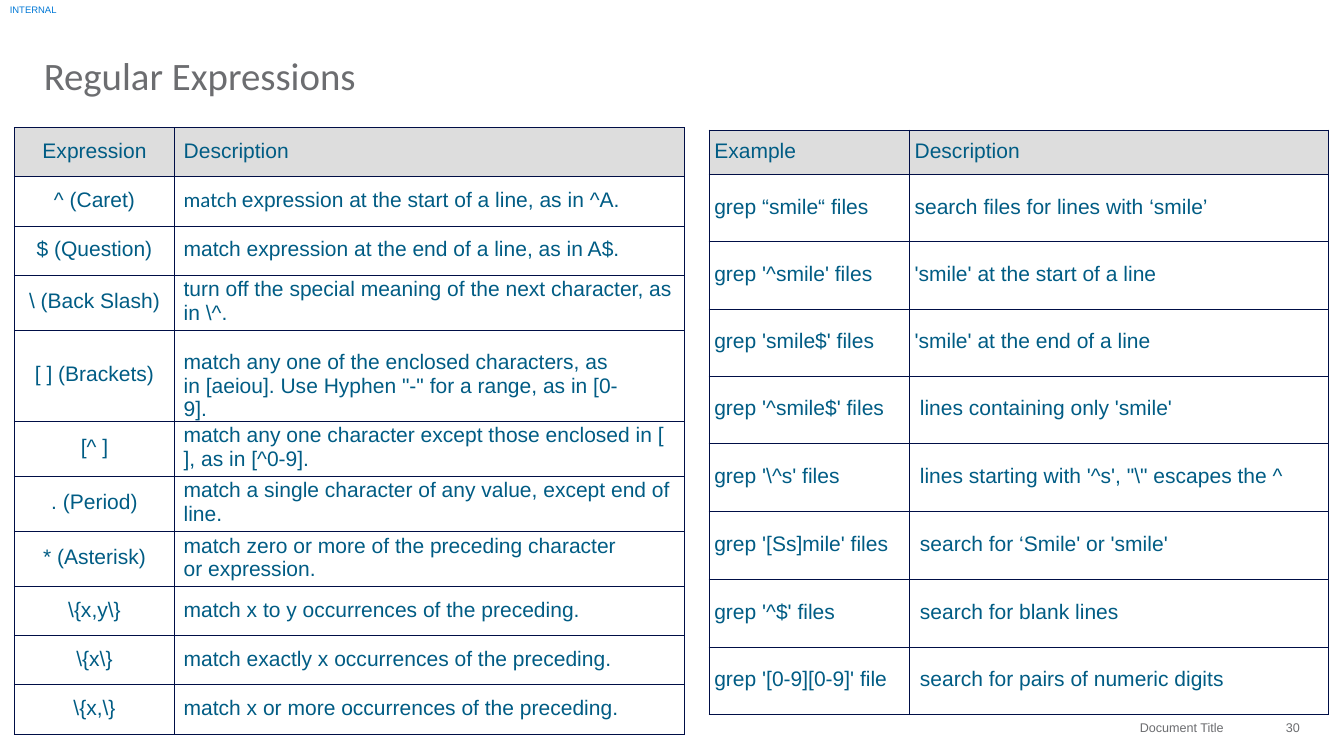
from lxml import etree
from pptx import Presentation
from pptx.dml.color import RGBColor
from pptx.enum.text import MSO_ANCHOR, PP_ALIGN
from pptx.oxml.ns import qn
from pptx.util import Inches, Pt

BLUE = RGBColor(0x00, 0x78, 0xD6)
TEAL = RGBColor(0x00, 0x5C, 0x84)
GRAY = RGBColor(0x6C, 0x6D, 0x70)
HEADER_FILL = RGBColor(0xDD, 0xDD, 0xDD)
BORDER = RGBColor(0x00, 0x0E, 0x46)

# A cell is a string, or a list of paragraphs; a paragraph is a string
# or a list of (text, font) runs.
EXPRESSIONS = [
    ("Expression", "Description"),
    ("^ (Caret)", [[("match ", "Calibri"),
                    ("expression at the start of a line, as in ^A.", "Arial")]]),
    ("$ (Question)", "match expression at the end of a line, as in A$."),
    ("\\ (Back Slash)",
     "turn off the special meaning of the next character, as in \\^."),
    ("[ ] (Brackets)",
     "match any one of the enclosed characters, as in [aeiou]. "
     "Use Hyphen \"-\" for a range, as in [0-9]."),
    ("[^ ]", ["match any one character except those enclosed in [",
              "], as in [^0-9]."]),
    (". (Period)",
     ["match a single character of any value, except end of", "line."]),
    ("* (Asterisk)",
     "match zero or more of the preceding character or expression."),
    ("\\{x,y\\}", "match x to y occurrences of the preceding."),
    ("\\{x\\}", "match exactly x occurrences of the preceding."),
    ("\\{x,\\}", "match x or more occurrences of the preceding."),
]
BRACKETS_ROW, ASTERISK_ROW = 4, 7
EXPRESSION_HEIGHTS = [0.65] * 3 + [0.73, 1.2] + [0.73] * 3 + [0.65] * 3

EXAMPLES = [
    ("Example", "Description"),
    ("grep “smile“ files", "search files for lines with ‘smile’"),
    ("grep '^smile' files", "'smile' at the start of a line"),
    ("grep 'smile$' files", "'smile' at the end of a line"),
    ("grep '^smile$' files", "lines containing only 'smile'"),
    ("grep '\\^s' files", "lines starting with '^s', \"\\\" escapes the ^"),
    ("grep '[Ss]mile' files", "search for ‘Smile' or 'smile'"),
    ("grep '^$' files", "search for blank lines"),
    ("grep '[0-9][0-9]' file", "search for pairs of numeric digits"),
]
FIRST_INDENTED_EXAMPLE = 4
EXAMPLE_HEIGHTS = [0.59] + [0.89] * 5 + [0.91] + [0.89] * 2

# text, (left, top, width, height), format
LABELS = [
    ("INTERNAL", (0.13, 0.05, 0.64, 0.18), dict(size=9, color=BLUE)),
    ("Regular Expressions", (0.58, 0.69, 16.87, 0.83),
     dict(size=37, font="Calibri", color=GRAY)),
    ("Document Title", (15.08, 9.52, 1.3, 0.21), dict(size=12, color=GRAY)),
    ("30", (17.01, 9.52, 0.28, 0.21), dict(size=12, color=GRAY)),
]


def write(frame, content, size=20, font="Arial", color=TEAL,
          align=PP_ALIGN.LEFT):
    paragraphs = [content] if isinstance(content, str) else content
    for i, runs in enumerate(paragraphs):
        paragraph = frame.add_paragraph() if i else frame.paragraphs[0]
        paragraph.alignment = align
        if isinstance(runs, str):
            runs = [(runs, font)]
        for words, face in runs:
            run = paragraph.add_run()
            run.text = words
            run.font.size = Pt(size)
            run.font.name = face
            run.font.color.rgb = color


def set_margins(box, left=0, right=0, bottom=0):
    box.margin_left, box.margin_right = Inches(left), Inches(right)
    box.margin_top, box.margin_bottom = 0, Inches(bottom)


def add_borders(cell):
    properties = cell._tc.get_or_add_tcPr()
    for side in ("a:lnL", "a:lnR", "a:lnT", "a:lnB"):
        line = etree.SubElement(properties, qn(side), w=str(Pt(1)))
        fill = etree.SubElement(line, qn("a:solidFill"))
        etree.SubElement(fill, qn("a:srgbClr"), val=str(BORDER))


def add_grid(slide, rows, left, top, widths, heights, indent,
             first_align=PP_ALIGN.LEFT):
    table = slide.shapes.add_table(
        len(rows), len(widths), Inches(left), Inches(top),
        Inches(sum(widths)), Inches(sum(heights))).table
    for column, width in zip(table.columns, widths):
        column.width = Inches(width)
    for r, (contents, height) in enumerate(zip(rows, heights)):
        table.rows[r].height = Inches(height)
        for c, content in enumerate(contents):
            cell = table.cell(r, c)
            align = PP_ALIGN.LEFT if c else first_align
            set_margins(cell, left=0 if align == PP_ALIGN.CENTER else indent,
                        bottom=0.04)
            cell.vertical_anchor = MSO_ANCHOR.MIDDLE
            add_borders(cell)
            if r == 0:
                cell.fill.solid()
                cell.fill.fore_color.rgb = HEADER_FILL
            else:
                cell.fill.background()
            write(cell.text_frame, content, align=align)
    return table


def main():
    deck = Presentation()
    deck.slide_width, deck.slide_height = Inches(17.78), Inches(10)
    slide = deck.slides.add_slide(deck.slide_layouts[6])

    for words, place, style in LABELS:
        frame = slide.shapes.add_textbox(*map(Inches, place)).text_frame
        frame.word_wrap = True
        set_margins(frame)
        write(frame, words, **style)

    expressions = add_grid(slide, EXPRESSIONS, 0.19, 1.69, (2.12, 6.74),
                           EXPRESSION_HEIGHTS, 0.12, PP_ALIGN.CENTER)
    for row in (BRACKETS_ROW, ASTERISK_ROW):
        expressions.cell(row, 1).margin_right = Inches(0.75)
    brackets = expressions.cell(BRACKETS_ROW, 1)
    brackets.vertical_anchor = MSO_ANCHOR.BOTTOM
    brackets.margin_bottom = 0

    examples = add_grid(slide, EXAMPLES, 9.38, 1.72, (2.65, 5.55),
                        EXAMPLE_HEIGHTS, 0.07)
    for row in range(FIRST_INDENTED_EXAMPLE, len(EXAMPLES)):
        examples.cell(row, 1).margin_left = Inches(0.14)

    deck.save("out.pptx")


if __name__ == "__main__":
    main()
